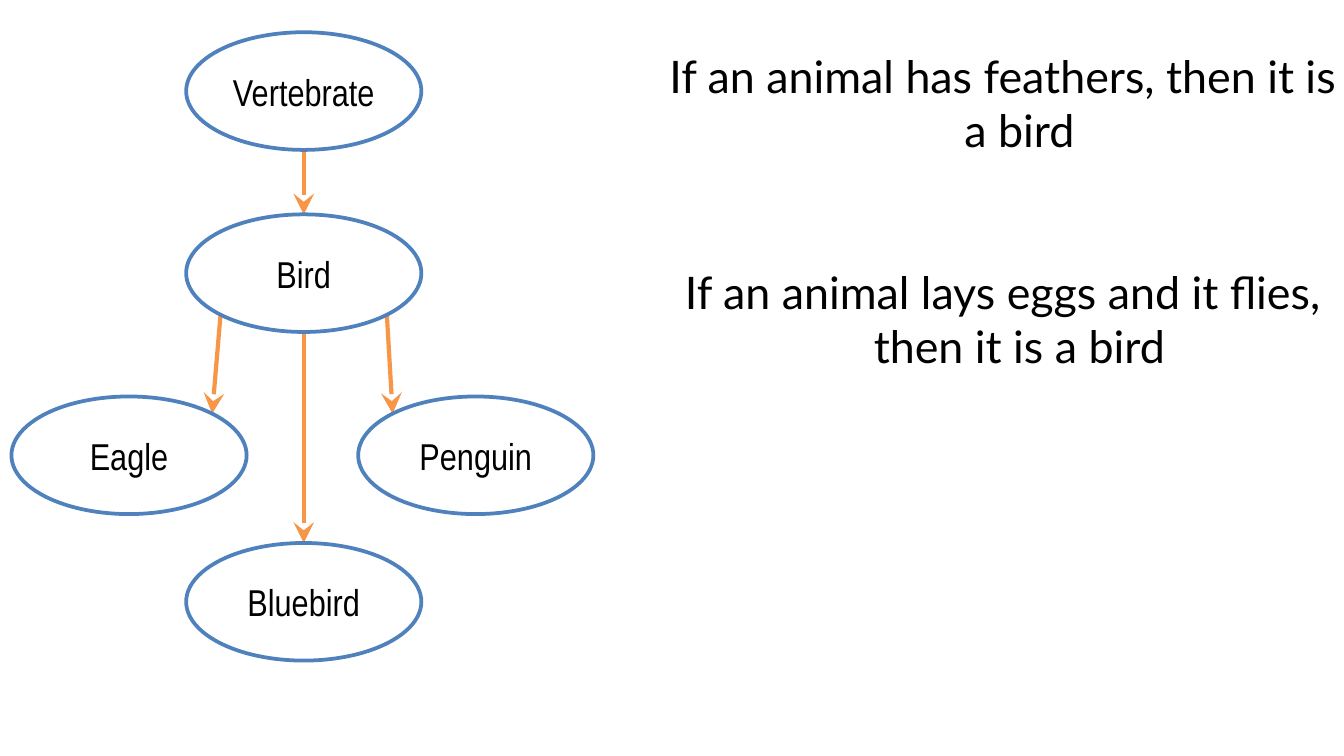
from math import sqrt

from lxml.etree import SubElement
from pptx import Presentation
from pptx.dml.color import RGBColor
from pptx.enum.shapes import MSO_CONNECTOR, MSO_SHAPE
from pptx.enum.text import MSO_ANCHOR, MSO_AUTO_SIZE, PP_ALIGN
from pptx.oxml.ns import qn
from pptx.util import Pt

PX = 4572
BLACK = RGBColor(0x00, 0x00, 0x00)
WHITE = RGBColor(0xFF, 0xFF, 0xFF)
BLUE = RGBColor(0x4F, 0x81, 0xBD)
ORANGE = RGBColor(0xF7, 0x96, 0x46)

NODE_W, NODE_H = 350, 175
NODES = {
    "Vertebrate": (260, 0),
    "Bird": (260, 271),
    "Bluebird": (260, 760),
    "Penguin": (516, 542),
    "Eagle": (0, 542),
}
DIAG = 1 / sqrt(2)
TOP, BOTTOM = (0, -1), (0, 1)
TOP_LEFT, TOP_RIGHT = (-DIAG, -DIAG), (DIAG, -DIAG)
BOTTOM_LEFT, BOTTOM_RIGHT = (-DIAG, DIAG), (DIAG, DIAG)
LINKS = [
    ("Vertebrate", BOTTOM, "Bird", TOP),
    ("Bird", BOTTOM_LEFT, "Eagle", TOP_RIGHT),
    ("Bird", BOTTOM, "Bluebird", TOP),
    ("Bird", BOTTOM_RIGHT, "Penguin", TOP_LEFT),
]
RULES = [
    "If an animal has feathers, then it is a bird",
    "If an animal lays eggs and it flies, then it is a bird",
]


def emu(*lengths):
    return [round(n * PX) for n in lengths]


def add_run(p, text, font, size):
    r = p.add_run()
    r.text = text
    r.font.name = font
    r.font.size = Pt(size)
    r.font.color.rgb = BLACK


def set_margins(tf, x, y):
    tf.margin_left = tf.margin_right = x * PX
    tf.margin_top = tf.margin_bottom = y * PX


def edge_point(x, y, name, side):
    dx, dy = NODES[name]
    return (x + dx + NODE_W / 2 * (1 + side[0]),
            y + dy + NODE_H / 2 * (1 + side[1]))


def add_arrow(s, start, end):
    sp = s.shapes.add_connector(MSO_CONNECTOR.STRAIGHT, *emu(*start, *end))
    sp.line.color.rgb = ORANGE
    sp.line.width = Pt(2.25)
    spPr = sp._element.spPr
    SubElement(spPr.find(qn("a:ln")), qn("a:tailEnd"),
               type="stealth", w="lg", len="lg")
    SubElement(spPr, qn("a:effectLst"))


def add_node(s, x, y, text):
    sp = s.shapes.add_shape(MSO_SHAPE.OVAL, *emu(x, y, NODE_W, NODE_H))
    sp.shadow.inherit = False
    sp.fill.solid()
    sp.fill.fore_color.rgb = WHITE
    sp.line.color.rgb = BLUE
    sp.line.width = Pt(2)
    tf = sp.text_frame
    tf.vertical_anchor = MSO_ANCHOR.MIDDLE
    set_margins(tf, 0, 0)
    p = tf.paragraphs[0]
    p.alignment = PP_ALIGN.CENTER
    add_run(p, text, "Arial Narrow", 20)


def add_tree(s, x, y):
    for parent, out_side, child, in_side in LINKS:
        add_arrow(s, edge_point(x, y, parent, out_side),
                  edge_point(x, y, child, in_side))
    for name, (dx, dy) in NODES.items():
        add_node(s, x + dx, y + dy, name)


def add_rules(s, x, y, w, h):
    sp = s.placeholders[1]
    sp.left, sp.top, sp.width, sp.height = emu(x, y, w, h)
    tf = sp.text_frame
    tf.word_wrap = True
    tf.auto_size = MSO_AUTO_SIZE.NONE
    tf.vertical_anchor = MSO_ANCHOR.TOP
    set_margins(tf, 0, 10)
    for i, rule in enumerate(RULES):
        p = tf.add_paragraph() if i else tf.paragraphs[0]
        p.alignment = PP_ALIGN.CENTER
        p.space_before = Pt(58 if i else 0)
        pPr = p._p.get_or_add_pPr()
        pPr.set("marL", str(50 * PX))
        pPr.set("indent", str(-50 * PX))
        SubElement(pPr, qn("a:buNone"))
        add_run(p, rule, "Lato", 24)


def main():
    prs = Presentation()
    prs.slide_width, prs.slide_height = emu(2000, 1125)
    s = prs.slides.add_slide(prs.slide_layouts[1])
    title = s.shapes.title._element
    title.getparent().remove(title)
    add_rules(s, 984, 63, 1016, 1062)
    add_tree(s, 17, 48)
    prs.save("out.pptx")


if __name__ == "__main__":
    main()
